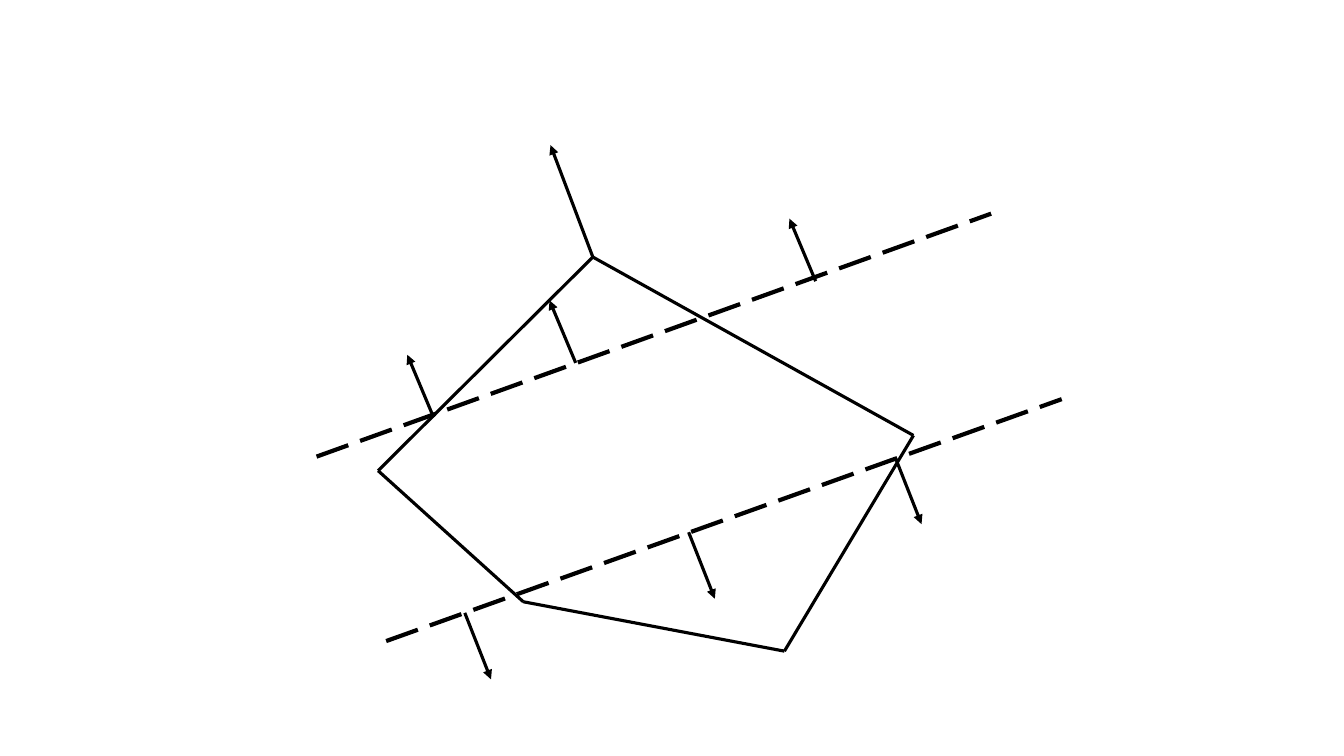
from dataclasses import dataclass

from lxml import etree
from pptx import Presentation
from pptx.dml.color import RGBColor
from pptx.enum.dml import MSO_LINE
from pptx.enum.shapes import MSO_CONNECTOR
from pptx.oxml.ns import qn
from pptx.util import Pt

STRAIGHT = MSO_CONNECTOR.STRAIGHT
LONG_DASH = MSO_LINE.LONG_DASH
PX = 9144
SLIDE_SIZE = (1333, 750)
DIAGRAM_BOX = (314, 144, 739, 530)
BLANK_LAYOUT = 6


@dataclass(frozen=True)
class Theme:
    """Colours and line widths of the slide."""
    ink: RGBColor = RGBColor(0, 0, 0)
    solid_width: float = 2.25
    dash_width: float = 3


THEME = Theme()

APEX, RIGHT, BOTTOM = (274, 111), (592, 288), (464, 502)
LOWER_LEFT, LEFT = (205, 453), (61, 323)
POLYGON = [APEX, LEFT, LOWER_LEFT, BOTTOM, RIGHT]
APEX_DIRECTION = (-42, -111)
CUTTING_LINES = [((0, 309), (669, 68)), ((69, 492), (739, 252))]
NORMALS = [
    ((26, 66), [(369, 384), (147, 464), (574, 310)]),
    ((-26, -62), [(116, 270), (257, 216), (495, 135)]),
]


def add_line(slide, box, start, end, dashed=False, arrow=False):
    """Draw a straight line between two points measured from the box corner."""
    left, top = box[:2]
    line = slide.shapes.add_connector(
        STRAIGHT,
        (left + start[0]) * PX, (top + start[1]) * PX,
        (left + end[0]) * PX, (top + end[1]) * PX)
    line.line.color.rgb = THEME.ink
    line.line.width = Pt(THEME.dash_width if dashed else THEME.solid_width)
    if dashed:
        line.line.dash_style = LONG_DASH
    properties = line._element.spPr
    if arrow:
        etree.SubElement(properties.find(qn("a:ln")), qn("a:tailEnd"), type="triangle")
    etree.SubElement(properties, qn("a:effectLst"))


def add_arrow(slide, box, start, direction):
    """Draw an arrow from a point along a direction."""
    end = (start[0] + direction[0], start[1] + direction[1])
    add_line(slide, box, start, end, arrow=True)


def add_cut_polygon(slide, box):
    """Draw the polygon, its two cutting lines and their normals."""
    for start, end in zip(POLYGON, POLYGON[1:] + POLYGON[:1]):
        add_line(slide, box, start, end)
    add_arrow(slide, box, APEX, APEX_DIRECTION)
    for start, end in CUTTING_LINES:
        add_line(slide, box, start, end, dashed=True)
    for direction, feet in NORMALS:
        for foot in feet:
            add_arrow(slide, box, foot, direction)


def main():
    """Build and save the presentation."""
    presentation = Presentation()
    presentation.slide_width, presentation.slide_height = (
        length * PX for length in SLIDE_SIZE)
    slide = presentation.slides.add_slide(presentation.slide_layouts[BLANK_LAYOUT])
    add_cut_polygon(slide, DIAGRAM_BOX)
    presentation.save("out.pptx")


if __name__ == "__main__":
    main()
